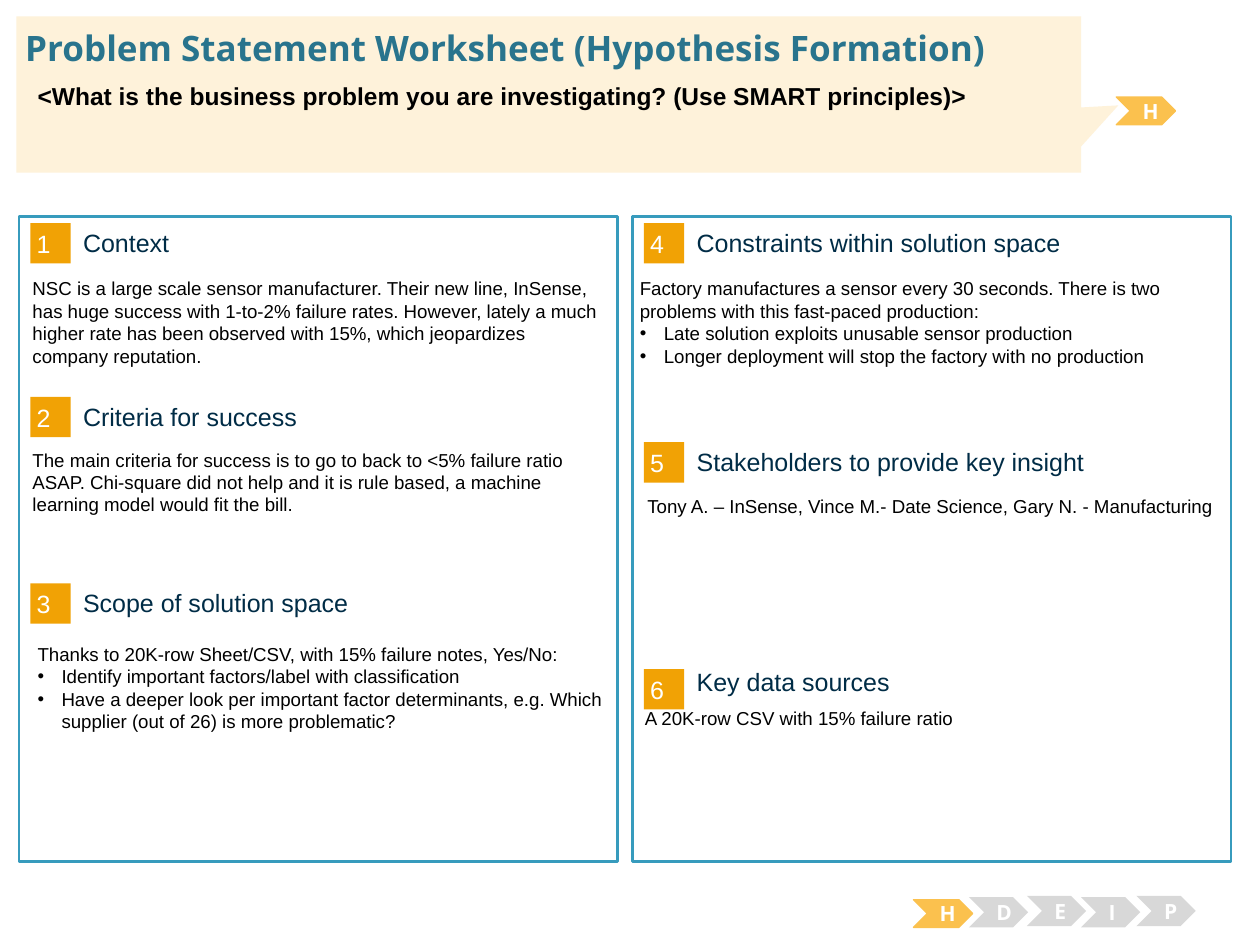
from dataclasses import dataclass
from typing import NamedTuple

from lxml.etree import SubElement
from pptx import Presentation
from pptx.dml.color import RGBColor
from pptx.enum.shapes import MSO_SHAPE
from pptx.enum.text import MSO_ANCHOR, MSO_AUTO_SIZE, PP_ALIGN
from pptx.oxml.ns import qn
from pptx.util import Inches, Length, Pt

COLUMNS, ROWS = 100, 75


@dataclass(frozen=True)
class Theme:
    heading_font: str = "Open Sans"
    body_font: str = "Arial"
    title_size: float = 20
    question_size: float = 14
    section_size: float = 14.3
    body_size: float = 10.7
    step_size: float = 12
    title: str = "29748D"
    section: str = "002C46"
    ink: str = "000000"
    paper: str = "FFFFFF"
    panel_line: str = "379BBD"
    badge: str = "F1A205"
    banner: str = "FEF2DA"
    active: str = "FBC14E"
    inactive: str = "D8D8D8"


class Area(NamedTuple):
    column: float
    row: float
    columns: float
    rows: float


class Section(NamedTuple):
    number: int
    heading: str
    panel: int
    row: float
    body: Area
    text: str
    bullets: tuple[str, ...] = ()
    heading_drop: float = 0.3


class Step(NamedTuple):
    letter: str
    area: Area
    active: bool = False


THEME = Theme()
PANELS = [Area(1.5 + 48.7 * index, 17.2, 47.5, 51.2) for index in range(2)]
SECTIONS = [
    Section(1, "Context", 0, 17.7, Area(1.6, 21.5, 47.3, 13.6),
            "NSC is a large scale sensor manufacturer. Their new line, InSense, has huge success "
            "with 1-to-2% failure rates. However, lately a much higher rate has been observed "
            "with 15%, which jeopardizes company reputation."),
    Section(2, "Criteria for success", 0, 31.5, Area(1.6, 35.1, 47.3, 15.4),
            "The main criteria for success is to go to back to <5% failure ratio ASAP. Chi-square "
            "did not help and it is rule based, a machine learning model would fit the bill."),
    Section(3, "Scope of solution space", 0, 46.3, Area(2, 50.5, 47.3, 8.2),
            "Thanks to 20K-row Sheet/CSV, with 15% failure notes, Yes/No:",
            ("Identify important factors/label with classification",
             "Have a deeper look per important factor determinants, e.g. Which supplier "
             "(out of 26) is more problematic?")),
    Section(4, "Constraints within solution space", 1, 17.7, Area(49.8, 21.5, 47.3, 11.8),
            "Factory manufactures a sensor every 30 seconds. There is two problems with this "
            "fast-paced production:",
            ("Late solution exploits unusable sensor production",
             "Longer deployment will stop the factory with no production")),
    Section(5, "Stakeholders to provide key insight", 1, 35.1, Area(50.4, 38.8, 47.3, 11.8),
            "Tony A. – InSense, Vince M.- Date Science, Gary N. - Manufacturing"),
    Section(6, "Key data sources", 1, 53.1, Area(50.2, 55.6, 47.3, 11.8),
            "A 20K-row CSV with 15% failure ratio", heading_drop=-0.3),
]
STEPS = [
    Step("H", Area(72.5, 71.4, 4.7, 2.2), True),
    Step("D", Area(76.9, 71.2, 4.7, 2.4)),
    Step("E", Area(81.5, 71.1, 4.7, 2.4)),
    Step("I", Area(85.8, 71.2, 4.7, 2.4)),
    Step("P", Area(90.2, 71.1, 4.7, 2.4)),
    Step("H", Area(88.6, 7.7, 4.7, 2.2), True),
]

deck = Presentation()
deck.slide_width, deck.slide_height = Inches(10), Inches(7.5)
worksheet = deck.slides.add_slide(deck.slide_layouts[5])


def place(area: Area) -> tuple[Length, ...]:
    across, down = deck.slide_width / COLUMNS, deck.slide_height / ROWS
    return tuple(Length(round(count * unit))
                 for count, unit in zip(area, (across, down, across, down)))


def write(holder, text: str, *, size: float, color: str = THEME.ink,
          font: str = THEME.body_font, bold: bool = False, align=PP_ALIGN.LEFT,
          anchor=MSO_ANCHOR.TOP, inset: tuple[float, float] = (0.1, 0.05),
          bullets: tuple[str, ...] = ()) -> None:
    frame = holder.text_frame
    frame.word_wrap, frame.auto_size = True, MSO_AUTO_SIZE.NONE
    frame.vertical_anchor = anchor
    frame.margin_left = frame.margin_right = Inches(inset[0])
    frame.margin_top = frame.margin_bottom = Inches(inset[1])
    for index, line in enumerate((text, *bullets)):
        paragraph = frame.add_paragraph() if index else frame.paragraphs[0]
        paragraph.alignment = align
        run = paragraph.add_run()
        run.text = line
        run.font.name, run.font.size, run.font.bold = font, Pt(size), bold
        run.font.color.rgb = RGBColor.from_string(color)
        if index:
            properties = paragraph._p.get_or_add_pPr()
            properties.set("marL", str(Inches(0.19)))
            properties.set("indent", str(-Inches(0.19)))
            SubElement(properties, qn("a:buFont"), typeface=THEME.body_font)
            SubElement(properties, qn("a:buChar"), char="•")


def add_block(kind: MSO_SHAPE, area: Area, fill: str, line: str = "", weight: float = 0.75):
    block = worksheet.shapes.add_shape(kind, *place(area))
    block.shadow.inherit = False
    block.fill.solid()
    block.fill.fore_color.rgb = RGBColor.from_string(fill)
    if line:
        block.line.color.rgb = RGBColor.from_string(line)
        block.line.width = Pt(weight)
    else:
        block.line.fill.background()
    return block


def add_text(area: Area, text: str, **style) -> None:
    write(worksheet.shapes.add_textbox(*place(area)), text, **style)


def add_section(section: Section) -> None:
    left = PANELS[section.panel].column
    badge = add_block(MSO_SHAPE.RECTANGLE, Area(left + 0.9, section.row, 3.2, 3.2), THEME.badge)
    write(badge, str(section.number), size=THEME.section_size, color=THEME.paper,
          anchor=MSO_ANCHOR.MIDDLE, inset=(0.05, 0.05))
    add_text(Area(left + 5.1, section.row + section.heading_drop, 39.3, 2.5), section.heading,
             size=THEME.section_size, color=THEME.section, anchor=MSO_ANCHOR.MIDDLE, inset=(0, 0))
    add_text(section.body, section.text, size=THEME.body_size, bullets=section.bullets)


def add_step(step: Step) -> None:
    fill = THEME.active if step.active else THEME.inactive
    chevron = add_block(MSO_SHAPE.CHEVRON, step.area, fill, fill if step.active else "")
    write(chevron, step.letter, size=THEME.step_size, color=THEME.paper, bold=True,
          font=THEME.heading_font, align=PP_ALIGN.CENTER, anchor=MSO_ANCHOR.MIDDLE)


def add_banner() -> None:
    banner = add_block(MSO_SHAPE.RECTANGULAR_CALLOUT, Area(1.3, 1.3, 84.5, 12.4), THEME.banner)
    banner.adjustments[0], banner.adjustments[1] = 0.535, 0.07
    title = worksheet.shapes.title
    title.left, title.top, title.width, title.height = place(Area(2, 2.1, 96.2, 3.4))
    write(title, "Problem Statement Worksheet (Hypothesis Formation)", size=THEME.title_size,
          color=THEME.title, font=THEME.heading_font, bold=True, inset=(0, 0))
    banner.element.addnext(title.element)
    add_text(Area(2, 5.9, 93.9, 5.4),
             "<What is the business problem you are investigating? (Use SMART principles)>",
             size=THEME.question_size, bold=True)


for panel in PANELS:
    add_block(MSO_SHAPE.RECTANGLE, panel, THEME.paper, THEME.panel_line, 1.5)
for section in SECTIONS:
    add_section(section)
for step in STEPS:
    add_step(step)
add_banner()
deck.save("out.pptx")
